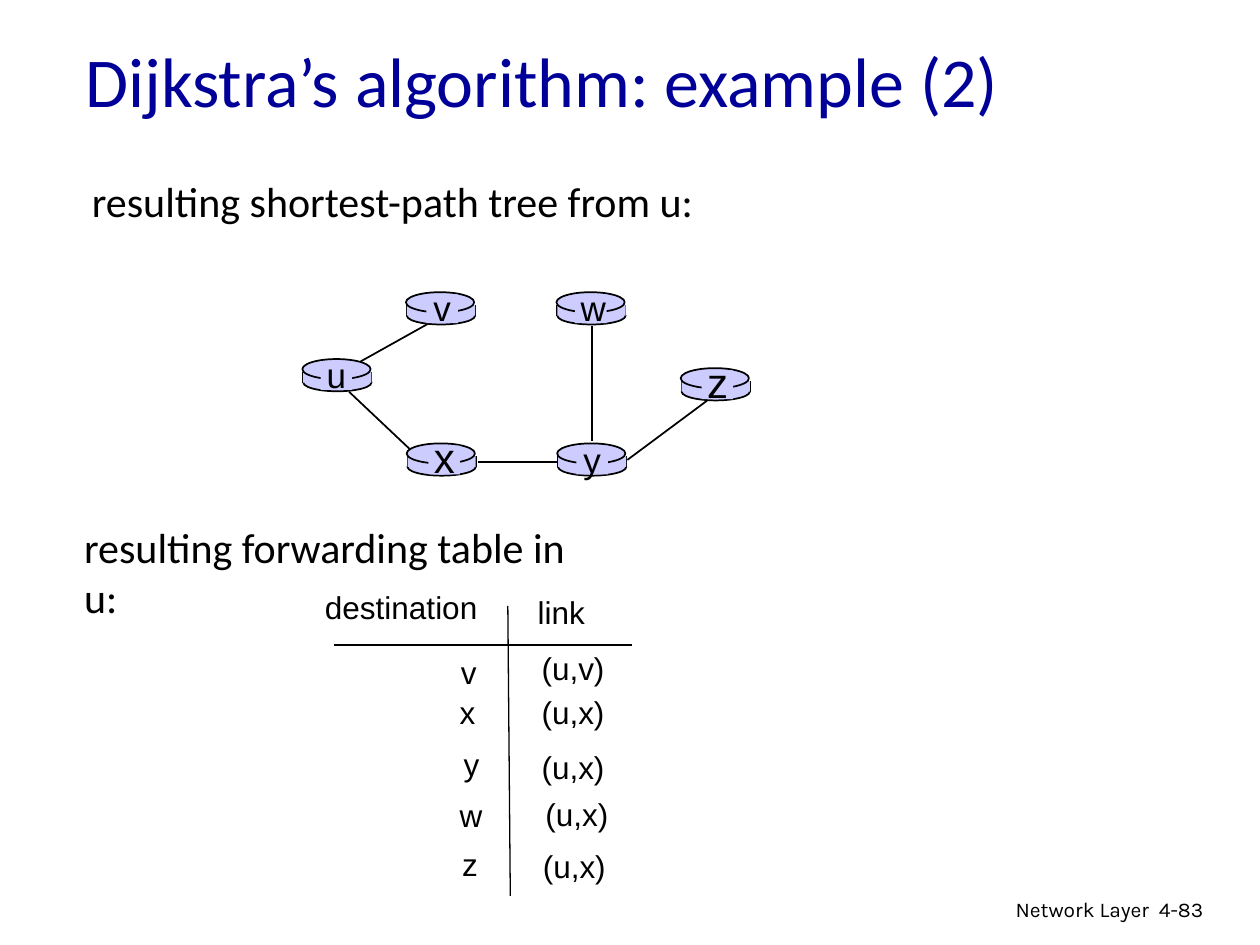
from dataclasses import dataclass

from lxml import etree
from pptx import Presentation
from pptx import util as u
from pptx.dml.color import RGBColor
from pptx.enum import shapes, text
from pptx.oxml.ns import qn

COLORS = {"ink": "000000", "title": "000099", "router": "CCCCFF"}
ROUTER_WIDTH = 39
LABEL_WIDTH = 18


@dataclass
class Router:
    name: str
    left: float
    top: float
    label_x: float
    size: int = 20


@dataclass
class Line:
    x1: float
    y1: float
    x2: float
    y2: float
    weight: float = 1


@dataclass
class Caption:
    words: str
    left: float
    top: float
    width: float
    height: float
    size: int = 18
    font: str = "Arial"
    color: str = "ink"
    align: text.PP_ALIGN = text.PP_ALIGN.LEFT
    anchor: text.MSO_ANCHOR = text.MSO_ANCHOR.TOP
    wrap: bool = False


@dataclass
class Route:
    destination: str
    destination_at: tuple[float, float]
    link: str
    link_at: tuple[float, float]


ROUTERS = [
    Router("u", 172.8, 205.2, 192.2),
    Router("x", 232.4, 253.4, 253.8, 24),
    Router("v", 232, 167, 252.7),
    Router("w", 318, 167, 337.7),
    Router("y", 318.4, 253.4, 338.4),
    Router("z", 389, 210.4, 410, 24),
]
LINK_BEHIND = Line(206, 206.6, 248.4, 182.9)
LINKS = [
    Line(338.4, 186.5, 338.4, 252),
    Line(358.5, 262.8, 404, 229),
    Line(319, 264.2, 272.9, 264.2),
    Line(234, 256.5, 199.5, 223.9),
]
TABLE_RULES = [
    Line(290.2, 346.3, 291.6, 511.9, 0.75),
    Line(190.8, 368.6, 361.4, 368.6, 0.75),
]
ROUTES = [
    Route("v", (256.3, 369.4), "(u,v)", (302.4, 367.2)),
    Route("x", (255.6, 392.4), "(u,x)", (302.4, 392.4)),
    Route("y", (257.8, 421.9), "(u,x)", (302.4, 424.1)),
    Route("w", (255.6, 451.4), "(u,x)", (304.6, 450.7)),
    Route("z", (257, 479.5), "(u,x)", (303.1, 480.2)),
]
CAPTIONS = [
    Caption("Network Layer", 435.6, 509, 228.2, 22, 12, "Karla",
            align=text.PP_ALIGN.RIGHT, wrap=True),
    Caption("4-83", 655.2, 509, 53.3, 22, 12, "Karla", wrap=True),
    Caption("Dijkstra’s algorithm: example (2)", 41.8, 12.2, 612, 67, 40,
            "Calibri", "title", anchor=text.MSO_ANCHOR.MIDDLE, wrap=True),
    Caption("resulting shortest-path tree from u:", 45.4, 96.5, 360, 36, 24,
            "Calibri"),
    Caption("destination", 178.6, 332.6, 101.5, 29),
    Caption("link", 300.2, 335.5, 41.8, 29),
    Caption("resulting forwarding table in u:", 41, 294.5, 302, 36, 24,
            "Calibri", wrap=True),
]


def color(name: str) -> RGBColor:
    return RGBColor.from_string(COLORS[name])


def add_caption(page, caption: Caption) -> None:
    box = page.shapes.add_textbox(u.Pt(caption.left), u.Pt(caption.top),
                                  u.Pt(caption.width), u.Pt(caption.height))
    frame = box.text_frame
    frame.text = caption.words
    frame.word_wrap = caption.wrap
    frame.vertical_anchor = caption.anchor
    para = frame.paragraphs[0]
    para.alignment = caption.align
    span = para.runs[0]
    span.font.size = u.Pt(caption.size)
    span.font.name = caption.font
    span.font.color.rgb = color(caption.color)


def add_line(page, line: Line) -> None:
    connector = page.shapes.add_connector(
        shapes.MSO_CONNECTOR.STRAIGHT,
        u.Pt(line.x1), u.Pt(line.y1), u.Pt(line.x2), u.Pt(line.y2))
    connector.line.color.rgb = color("ink")
    connector.line.width = u.Pt(line.weight)
    properties = connector._element.find(qn("p:spPr"))
    etree.SubElement(properties, qn("a:effectLst"))


def add_patch(page, preset, left: float, top: float, width: float,
              height: float, outlined: bool = False) -> None:
    """Add a shape in the router colour."""
    patch = page.shapes.add_shape(preset, u.Pt(left), u.Pt(top),
                                  u.Pt(width), u.Pt(height))
    patch.shadow.inherit = False
    patch.fill.solid()
    patch.fill.fore_color.rgb = color("router")
    if outlined:
        patch.line.color.rgb = color("ink")
        patch.line.width = u.Pt(1)
    else:
        patch.line.fill.background()


def add_router(page, router: Router) -> None:
    """Draw a flat cylinder: base, two sides, body and lid."""
    oval, rectangle = shapes.MSO_SHAPE.OVAL, shapes.MSO_SHAPE.RECTANGLE
    left, side_top = router.left + 0.5, router.top + 7.2
    add_patch(page, oval, left, router.top + 8.4, ROUTER_WIDTH, 10, True)
    for x in (left, left + ROUTER_WIDTH):
        add_line(page, Line(x, side_top, x, side_top + 6.3))
    add_patch(page, rectangle, left, side_top, ROUTER_WIDTH, 6.3)
    add_patch(page, oval, router.left, router.top, ROUTER_WIDTH, 11.5, True)


def add_router_label(page, router: Router) -> None:
    add_patch(page, shapes.MSO_SHAPE.RECTANGLE,
              router.label_x - LABEL_WIDTH / 2, router.top + 1.2,
              LABEL_WIDTH, 16.5)
    width, height = 26, router.size * 1.2 + 7.2
    middle = router.top + (9 if router.size == 20 else 7.6)
    add_caption(page, Caption(router.name, router.label_x - width / 2,
                              middle - height / 2, width, height,
                              router.size, align=text.PP_ALIGN.CENTER))


def main() -> None:
    deck = Presentation()
    deck.slide_width, deck.slide_height = u.Pt(720), u.Pt(540)
    page = deck.slides.add_slide(deck.slide_layouts[6])
    add_line(page, LINK_BEHIND)
    for router in ROUTERS:
        add_router(page, router)
    for link in LINKS:
        add_line(page, link)
    for router in ROUTERS:
        add_router_label(page, router)
    for rule in TABLE_RULES:
        add_line(page, rule)
    for route in ROUTES:
        width = 27.4 if route.destination == "w" else 23.8
        add_caption(page, Caption(route.destination, *route.destination_at,
                                  width, 29))
        add_caption(page, Caption(route.link, *route.link_at, 50.4, 29))
    for caption in CAPTIONS:
        add_caption(page, caption)
    deck.save("out.pptx")


if __name__ == "__main__":
    main()
